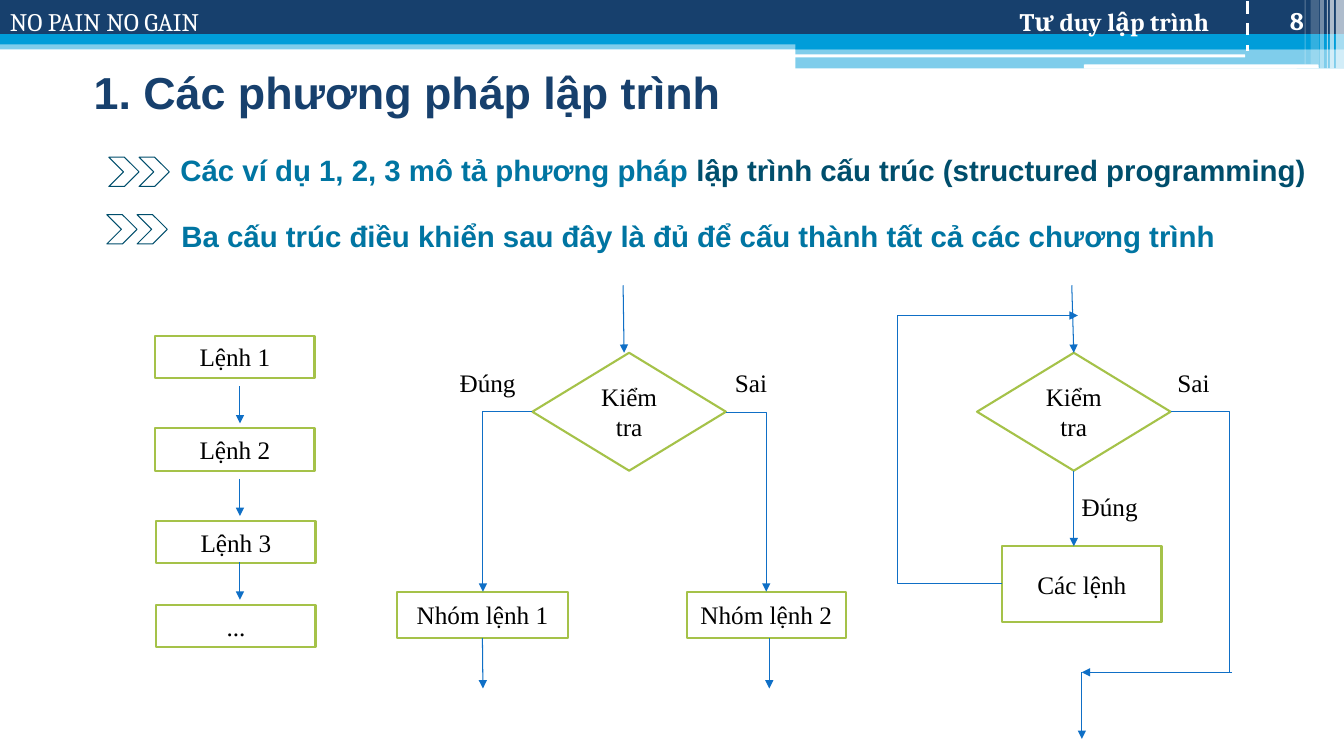
from dataclasses import dataclass

from lxml import etree
from pptx import Presentation
from pptx.dml.color import RGBColor
from pptx.enum.dml import MSO_LINE
from pptx.enum.shapes import MSO_CONNECTOR, MSO_SHAPE
from pptx.enum.text import MSO_ANCHOR, PP_ALIGN
from pptx.oxml.ns import qn
from pptx.util import Inches, Pt

RECT = MSO_SHAPE.RECTANGLE
ROUNDED = MSO_SHAPE.ROUNDED_RECTANGLE
CHEVRON = MSO_SHAPE.CHEVRON
DECISION = MSO_SHAPE.FLOWCHART_DECISION
STRAIGHT = MSO_CONNECTOR.STRAIGHT
DASH = MSO_LINE.DASH
LEFT, CENTER, RIGHT = PP_ALIGN.LEFT, PP_ALIGN.CENTER, PP_ALIGN.RIGHT
TOP, MIDDLE, BOTTOM = MSO_ANCHOR.TOP, MSO_ANCHOR.MIDDLE, MSO_ANCHOR.BOTTOM
TOP_SIDE, BOTTOM_SIDE = 0, 2


@dataclass(frozen=True)
class Theme:
    navy: str = "17406D"
    sky: str = "009DD9"
    white: str = "FFFFFF"
    black: str = "000000"
    teal: str = "0075A2"
    deep_teal: str = "004E6C"
    green: str = "A5C249"
    blue: str = "0F6FC6"
    heading_font: str = "Arial"
    banner_font: str = "Cambria"
    diagram_font: str = "Times New Roman"
    title_size: int = 32
    point_size: int = 21
    body_size: int = 18
    thin: float = 0.75
    outline: float = 1.5
    divider: float = 2.25


class SlideBuilder:
    def __init__(self, slide, theme):
        self.shapes = slide.shapes
        self.theme = theme

    def shape(self, kind, box, fill=None, opacity=100, line=None, width=0):
        item = self.shapes.add_shape(kind, *map(Inches, box))
        item.shadow.inherit = False
        if fill:
            item.fill.solid()
            item.fill.fore_color.rgb = RGBColor.from_string(fill)
        else:
            item.fill.background()
        if opacity < 100:
            color = item._element.spPr.find(qn("a:solidFill"))[0]
            etree.SubElement(color, qn("a:alpha")).set("val", str(opacity * 1000))
        if line:
            item.line.color.rgb = RGBColor.from_string(line)
            item.line.width = Pt(width)
        else:
            item.line.fill.background()
        return item

    def add_runs(self, item, runs, size, font, bold=False, align=LEFT, anchor=TOP):
        """Fill an element with one paragraph of (text, colour) runs."""
        frame = item.text_frame
        frame.word_wrap = True
        frame.vertical_anchor = anchor
        paragraph = frame.paragraphs[0]
        paragraph.alignment = align
        for text, color in runs:
            run = paragraph.add_run()
            run.text = text
            run.font.size = Pt(size)
            run.font.name = font
            run.font.bold = bold
            run.font.color.rgb = RGBColor.from_string(color)

    def text(self, box, runs, size, font, **style):
        item = self.shapes.add_textbox(*map(Inches, box))
        self.add_runs(item, runs, size, font, **style)
        return item

    def label(self, left, top, width, text):
        t = self.theme
        self.text((left, top, width, 0.4), [(text, t.black)], t.body_size, t.diagram_font)

    def node(self, kind, box, text):
        t = self.theme
        item = self.shape(kind, box, t.white, line=t.green, width=t.outline)
        self.add_runs(item, [(text, t.black)], t.body_size, t.diagram_font,
                      align=CENTER, anchor=MIDDLE)
        return item

    def chevrons(self, left, top):
        t = self.theme
        for i in range(2):
            self.shape(CHEVRON, (left + i * 0.3, top, 0.3, 0.29),
                       line=t.deep_teal, width=t.thin)

    def line(self, start, end, color, width, arrow=False):
        item = self.shapes.add_connector(STRAIGHT, *map(Inches, start + end))
        item.line.color.rgb = RGBColor.from_string(color)
        item.line.width = Pt(width)
        properties = item._element.spPr
        if arrow:
            tail = etree.SubElement(properties.find(qn("a:ln")), qn("a:tailEnd"))
            tail.set("type", "triangle")
        etree.SubElement(properties, qn("a:effectLst"))
        return item

    def flow(self, start, end, source=None, target=None):
        item = self.line(start, end, self.theme.blue, self.theme.thin, arrow=True)
        if source:
            item.begin_connect(source, BOTTOM_SIDE)
        if target:
            item.end_connect(target, TOP_SIDE)

    def bend(self, start, end, arrow=False):
        """Run sideways first, then up or down."""
        item = self.line(start, end, self.theme.blue, self.theme.thin, arrow)
        item._element.spPr.find(qn("a:prstGeom")).set("prst", "bentConnector2")


def draw_banner(b):
    t = b.theme
    # Colour bands
    for box, color, opacity in [
        ((0, 0.4, 13.33, 0.09), t.sky, 50),
        ((0, 0, 13.33, 0.34), t.navy, 100),
        ((0, 0.34, 13.33, 0.1), t.sky, 100),
        ((7.89, 0.39, 5.44, 0.1), t.sky, 100),
        ((7.89, 0.48, 5.44, 0.2), t.sky, 50),
    ]:
        b.shape(RECT, box, color, opacity)
    for box in [(7.88, 0.54, 4.47, 0.03), (10.75, 0.64, 2.33, 0.04)]:
        b.shape(ROUNDED, box, t.white)
    # Light stripes at the right edge
    for left, width, height, opacity in [
        (13.25, 0.08, 0.68, 65), (13.19, 0.04, 0.68, 65), (13.16, 0.01, 0.68, 60),
        (13.09, 0.04, 0.68, 40), (13, 0.08, 0.64, 20), (12.94, 0.01, 0.64, 30),
    ]:
        b.shape(RECT, (left, 0, width, height), t.white, opacity)
    # Motto, course name, page number
    heading = {"bold": True, "align": RIGHT, "anchor": BOTTOM}
    for box, text, style in [
        ((0, 0.01, 3.56, 0.4), "NO PAIN NO GAIN", {}),
        ((5.78, 0.01, 6.31, 0.4), "Tư duy lập trình", heading),
        ((12.22, 0, 0.81, 0.4), "8", heading),
    ]:
        b.text(box, [(text, t.white)], t.body_size, t.banner_font, **style)
    divider = b.line((12.37, 0.01), (12.37, 0.51), t.white, t.divider)
    divider.line.dash_style = DASH


def draw_points(b):
    t = b.theme
    # Title
    b.text((0.83, 0.48, 11.58, 0.86), [("1. Các phương pháp lập trình", t.navy)],
           t.title_size, t.heading_font, bold=True, anchor=MIDDLE)
    # Two points with their chevrons
    b.chevrons(1.08, 1.56)
    method = b.text((1.69, 1.41, 11.48, 0.49),
                    [("Các ví dụ 1, 2, 3 mô tả phương pháp ", t.teal),
                     ("lập trình cấu trúc (structured programming)", t.deep_teal)],
                    t.point_size, t.heading_font, bold=True)
    method.text_frame.margin_top = method.text_frame.margin_bottom = Inches(0.1)
    b.chevrons(1.06, 2.13)
    b.text((1.7, 1.96, 11.61, 0.76),
           [("Ba cấu trúc điều khiển sau đây là đủ để cấu thành tất cả các chương trình", t.teal)],
           t.point_size, t.heading_font, bold=True, anchor=MIDDLE)


def draw_sequence(b):
    for left, top, text in [(1.54, 3.33, "Lệnh 1"), (1.54, 4.25, "Lệnh 2"),
                            (1.55, 5.17, "Lệnh 3"), (1.55, 6, "...")]:
        b.node(RECT, (left, top, 1.58, 0.42), text)
    for top in (3.83, 4.75, 5.58):
        b.flow((2.38, top), (2.38, top + 0.37))


def draw_branch(b):
    b.node(DECISION, (5.28, 3.5, 1.92, 1.17), "Kiểm tra")
    group_1 = b.node(RECT, (3.94, 5.87, 1.69, 0.46), "Nhóm lệnh 1")
    b.node(RECT, (6.81, 5.87, 1.58, 0.46), "Nhóm lệnh 2")
    b.label(4.46, 3.59, 0.81, "Đúng")
    b.label(7.19, 3.59, 0.8, "Sai")
    b.flow((6.18, 2.83), (6.19, 3.5))
    b.bend((5.28, 4.08), (4.79, 5.87), arrow=True)
    b.bend((7.2, 4.09), (7.6, 5.87), arrow=True)
    b.flow((4.79, 6.33), (4.79, 6.83), source=group_1)
    b.flow((7.63, 6.33), (7.63, 6.83))


def draw_loop(b):
    check = b.node(DECISION, (9.69, 3.5, 1.92, 1.17), "Kiểm tra")
    b.node(RECT, (9.94, 5.42, 1.58, 0.75), "Các lệnh")
    b.label(10.63, 4.83, 0.81, "Đúng")
    b.label(11.58, 3.59, 0.55, "Sai")
    b.flow((10.63, 2.83), (10.65, 3.5), target=check)
    b.flow((10.65, 4.67), (10.65, 5.42), source=check)
    # Way back to the test
    b.bend((9.94, 5.79), (8.9, 3.13))
    b.flow((8.9, 3.13), (10.69, 3.13))
    # Way out
    b.bend((11.61, 4.08), (12.19, 6.67))
    b.flow((12.22, 6.67), (10.73, 6.67))
    b.flow((10.73, 6.67), (10.73, 7.33))


def main():
    deck = Presentation()
    deck.slide_width, deck.slide_height = Inches(13.33), Inches(7.5)
    builder = SlideBuilder(deck.slides.add_slide(deck.slide_layouts[6]), Theme())
    for draw in (draw_banner, draw_points, draw_sequence, draw_branch, draw_loop):
        draw(builder)
    deck.save("out.pptx")


if __name__ == "__main__":
    main()
